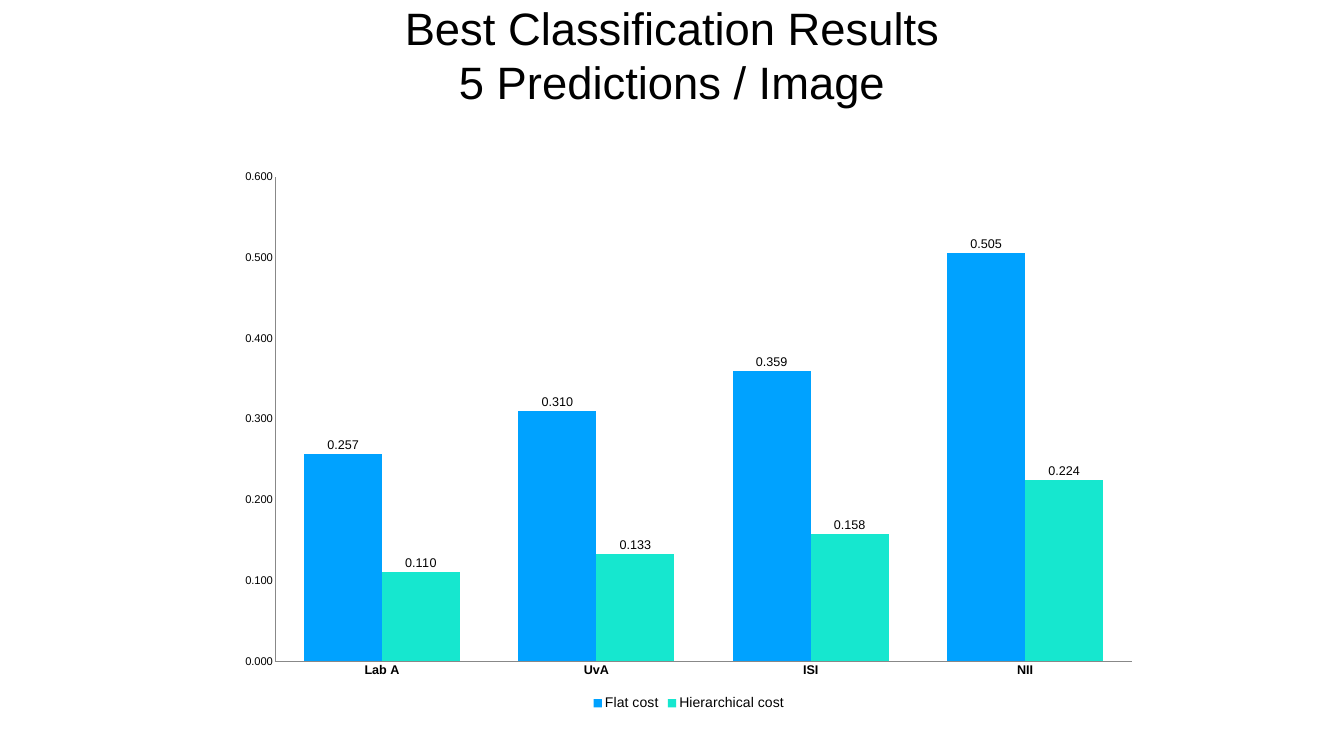
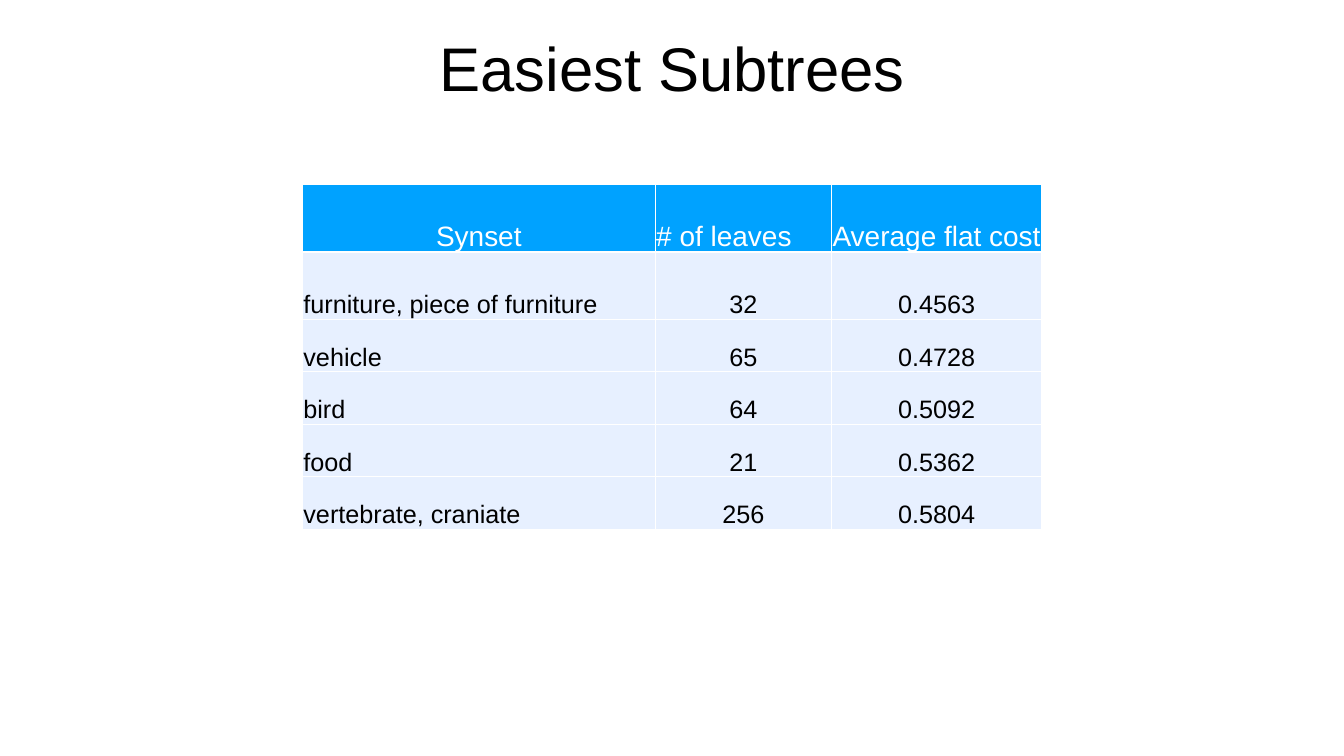
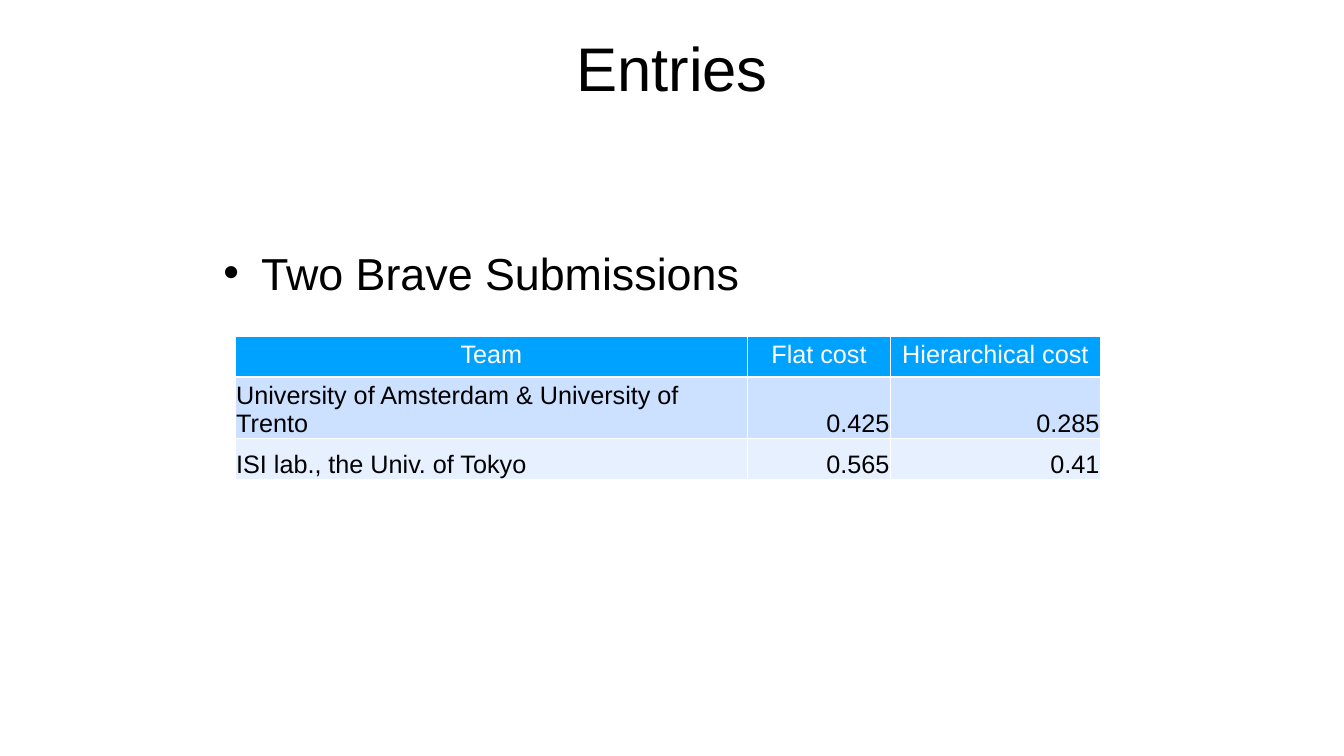
"""Build three slides of classification results: a column chart and two tables."""
from lxml import etree
from pptx import Presentation
from pptx import util as u
from pptx.chart import data as chart_data
from pptx.dml.color import RGBColor
from pptx.enum import chart as chart_enum
from pptx.enum import text
from pptx.oxml import ns

FONT = "Arial"
BLACK = RGBColor(0x00, 0x00, 0x00)
WHITE = RGBColor(0xFF, 0xFF, 0xFF)
GRAY = RGBColor(0x88, 0x88, 0x88)
BLUE = RGBColor(0x00, 0xA2, 0xFF)
TEAL = RGBColor(0x16, 0xE7, 0xCF)
LIGHT_BLUE = RGBColor(0xCC, 0xE0, 0xFF)
PALE_BLUE = RGBColor(0xE7, 0xF0, 0xFF)
LEFT, CENTER, RIGHT = text.PP_ALIGN.LEFT, text.PP_ALIGN.CENTER, text.PP_ALIGN.RIGHT
TOP, BOTTOM = text.MSO_ANCHOR.TOP, text.MSO_ANCHOR.BOTTOM
WIDE_INSETS = (14.4, 7.2, 14.4, 7.2)
TIGHT_INSETS = (1.44, 1.44, 1.44, 0)

presentation = Presentation()
presentation.slide_width, presentation.slide_height = u.Pt(1920), u.Pt(1080)


def add_titled_slide(lines, size, left, top, width):
    slide = presentation.slides.add_slide(presentation.slide_layouts[5])
    title = slide.shapes.title
    title.left, title.top = u.Pt(left), u.Pt(top)
    title.width, title.height = u.Pt(width), u.Pt(180)
    frame = title.text_frame
    frame.auto_size = text.MSO_AUTO_SIZE.NONE
    frame.vertical_anchor = text.MSO_ANCHOR.MIDDLE
    paragraph = frame.paragraphs[0]
    paragraph.alignment = CENTER
    for index, line in enumerate(lines):
        if index:
            paragraph.add_line_break()
        run = paragraph.add_run()
        run.text = line
        run.font.name, run.font.size = FONT, u.Pt(size)
        run.font.color.rgb = BLACK
    return slide


def add_cost_table(slide, left, top, widths, heights, rows, styles):
    frame = slide.shapes.add_table(len(rows), len(widths), u.Pt(left), u.Pt(top),
                                   u.Pt(sum(widths)), u.Pt(sum(heights)))
    table = frame.table
    table.horz_banding = False
    for column, width in zip(table.columns, widths):
        column.width = u.Pt(width)
    for row, height in zip(table.rows, heights):
        row.height = u.Pt(height)
    for row_index, (values, style) in enumerate(zip(rows, styles)):
        fill, color, size, anchor, insets, alignments = style
        for column_index, value in enumerate(values):
            cell = table.cell(row_index, column_index)
            properties = cell._tc.get_or_add_tcPr()
            for side in ("L", "R", "T", "B"):
                heavy = (row_index, side) == (0, "B")
                line = etree.SubElement(properties, ns.qn(f"a:ln{side}"),
                                        w=str(u.Pt(3 if heavy else 1)))
                solid = etree.SubElement(line, ns.qn("a:solidFill"))
                etree.SubElement(solid, ns.qn("a:srgbClr"), val=str(WHITE))
            cell.fill.solid()
            cell.fill.fore_color.rgb = fill
            cell.vertical_anchor = anchor
            (cell.margin_left, cell.margin_top,
             cell.margin_right, cell.margin_bottom) = map(u.Pt, insets)
            paragraph = cell.text_frame.paragraphs[0]
            paragraph.alignment = alignments[column_index]
            run = paragraph.add_run()
            run.text = value
            run.font.name, run.font.size = FONT, u.Pt(size)
            run.font.bold = False
            run.font.color.rgb = color


slide = add_titled_slide(["Best Classification Results", "5 Predictions / Image"],
                         64.8, 240, -12, 1440)
costs = chart_data.CategoryChartData(number_format="0.000")
costs.categories = ["Lab A", "UvA", "ISI", "NII"]
costs.add_series("Flat cost", (0.257, 0.31, 0.359, 0.505))
costs.add_series("Hierarchical cost", (0.11, 0.133, 0.158, 0.224))
chart = slide.shapes.add_chart(chart_enum.XL_CHART_TYPE.COLUMN_CLUSTERED, u.Pt(324),
                               u.Pt(228), u.Pt(1320), u.Pt(792), costs).chart
chart.has_title = False
chart.font.name, chart.font.size = FONT, u.Pt(10)
chart.font.color.rgb = BLACK
chart.has_legend = True
chart.legend.position = chart_enum.XL_LEGEND_POSITION.BOTTOM
chart.legend.include_in_layout = False
chart.legend.font.size = u.Pt(20)
chart.legend.font.name = FONT
for axis, size in ((chart.category_axis, 18), (chart.value_axis, 16)):
    axis.has_major_gridlines = False
    axis.major_tick_mark = axis.minor_tick_mark = chart_enum.XL_TICK_MARK.NONE
    axis.tick_labels.font.size = u.Pt(size)
    axis.tick_labels.font.name = FONT
    axis.format.line.color.rgb = GRAY
chart.category_axis.tick_labels.font.bold = True
chart.value_axis.minimum_scale, chart.value_axis.maximum_scale = 0, 0.6
chart.value_axis.major_unit = 0.1
chart.value_axis.tick_labels.number_format = "0.000"
chart.value_axis.tick_labels.number_format_is_linked = False
plot = chart.plots[0]
plot.gap_width, plot.overlap, plot.vary_by_categories = 75, 0, False
for series, color in zip(plot.series, (BLUE, TEAL)):
    series.format.fill.solid()
    series.format.fill.fore_color.rgb = color
    labels = series.data_labels
    labels.show_value = True
    labels.position = chart_enum.XL_LABEL_POSITION.OUTSIDE_END
    labels.number_format, labels.number_format_is_linked = "0.000", False
    labels.font.name, labels.font.size = FONT, u.Pt(18)
    labels.font.color.rgb = BLACK

plot_area = chart._chartSpace.chart.plotArea
for layout in plot_area.findall(ns.qn("c:layout")):
    plot_area.remove(layout)
layout = etree.Element(ns.qn("c:layout"))
plot_area.insert(0, layout)
manual = etree.SubElement(layout, ns.qn("c:manualLayout"))
for name, value in (("layoutTarget", "inner"), ("xMode", "edge"), ("yMode", "edge"),
                    ("x", "0.052"), ("y", "0.031"), ("w", "0.928"), ("h", "0.874")):
    etree.SubElement(manual, ns.qn(f"c:{name}"), val=value)

slide = add_titled_slide(["Easiest Subtrees"], 88, 312, 6, 1296)
subtrees = [
    ("Synset", "# of leaves", "Average flat cost"),
    ("furniture, piece of furniture", "32", "0.4563"),
    ("vehicle", "65", "0.4728"),
    ("bird", "64", "0.5092"),
    ("food", "21", "0.5362"),
    ("vertebrate, craniate", "256", "0.5804"),
]
header = (BLUE, WHITE, 40, BOTTOM, TIGHT_INSETS, (CENTER, LEFT, LEFT))
body = (PALE_BLUE, BLACK, 36, BOTTOM, TIGHT_INSETS, (LEFT, CENTER, CENTER))
add_cost_table(slide, 432, 264, (504, 252, 300), [96] * 2 + [75] * 4,
               subtrees, [header] + [body] * 5)

slide = add_titled_slide(["Entries"], 88, 312, 6, 1296)
box = slide.shapes.add_textbox(u.Pt(312), u.Pt(343.5), u.Pt(1296), u.Pt(712.8))
frame = box.text_frame
frame.word_wrap = True
frame.margin_left = frame.margin_top = frame.margin_right = frame.margin_bottom = u.Pt(7.2)
paragraph = frame.paragraphs[0]
properties = paragraph._p.get_or_add_pPr()
properties.set("marL", str(u.Pt(54)))
properties.set("indent", str(u.Pt(-54)))
etree.SubElement(properties, ns.qn("a:buFont"), typeface=FONT)
etree.SubElement(properties, ns.qn("a:buChar"), char="•")
run = paragraph.add_run()
run.text = "Two Brave Submissions"
run.font.name, run.font.size = FONT, u.Pt(64)
run.font.color.rgb = BLACK
entries = [
    ("Team", "Flat cost", "Hierarchical cost"),
    ("University of Amsterdam & University of Trento", "0.425", "0.285"),
    ("ISI lab., the Univ. of Tokyo", "0.565", "0.41"),
]
header = (BLUE, WHITE, 36, TOP, WIDE_INSETS, (CENTER,) * 3)
bands = [(fill, BLACK, 36, BOTTOM, TIGHT_INSETS, (LEFT, RIGHT, RIGHT))
         for fill in (LIGHT_BLUE, PALE_BLUE)]
add_cost_table(slide, 336, 480, (732, 204, 300), [58.3] * 3, entries, [header] + bands)

presentation.save("out.pptx")
